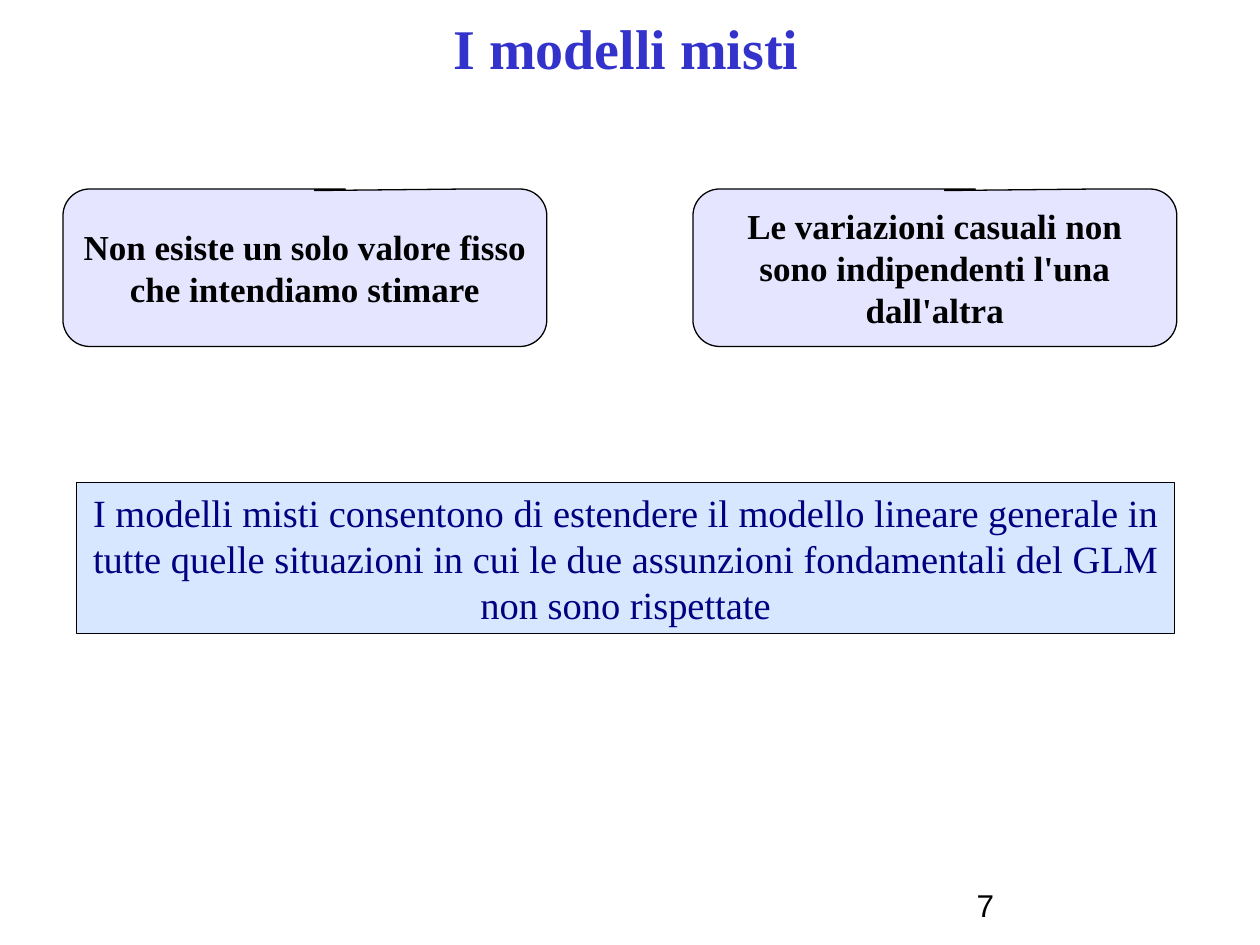
"""Builds the slide that introduces mixed models."""
from lxml import etree
from pptx import Presentation
from pptx import util as u
from pptx.dml.color import RGBColor
from pptx.enum import shapes, text
from pptx.oxml.ns import qn

HUES = {
    "title": "3333CC",
    "call": "CCCCFF",
    "box": "D6E7FF",
    "navy": "000080",
    "black": "000000",
}
SERIF = "Times New Roman"
CALLS = [
    "Non esiste un solo valore fisso che intendiamo stimare",
    "Le variazioni casuali non sono indipendenti l'una dall'altra",
]
CLAIM = (
    "I modelli misti consentono di estendere il modello lineare generale in "
    "tutte quelle situazioni in cui le due assunzioni fondamentali del GLM "
    "non sono rispettate"
)


def hue(name):
    return RGBColor.from_string(HUES[name])


def place(area):
    return [u.Inches(side) for side in area]


def write(shape, words, size, tone, bold=False, font=SERIF,
          align=text.PP_ALIGN.CENTER, anchor=text.MSO_ANCHOR.MIDDLE):
    frame = shape.text_frame
    frame.text = words
    frame.word_wrap = True
    frame.vertical_anchor = anchor
    line = frame.paragraphs[0]
    line.alignment = align
    face = line.runs[0].font
    face.name = font
    face.size = u.Pt(size)
    face.bold = bold
    face.color.rgb = hue(tone)


def add_label(slide, area, words, size, tone, **style):
    label = slide.shapes.add_textbox(*place(area))
    frame = label.text_frame
    frame.margin_left = frame.margin_right = 0
    frame.margin_top = frame.margin_bottom = 0
    write(label, words, size, tone, **style)


def add_panel(slide, kind, area, tone):
    panel = slide.shapes.add_shape(kind, *place(area))
    panel.shadow.inherit = False
    panel.fill.solid()
    panel.fill.fore_color.rgb = hue(tone)
    panel.line.color.rgb = hue("black")
    panel.line.width = u.Pt(0)
    return panel


def add_call(slide, left, words):
    kind = shapes.MSO_SHAPE.ROUNDED_RECTANGULAR_CALLOUT
    call = add_panel(slide, kind, (left, 1.5, 3.84, 1.25), "call")
    for spot, value in enumerate((0.02, -0.49, 0.17)):
        call.adjustments[spot] = value
    tint = call.fill._xPr.find(qn("a:solidFill"))[0]
    etree.SubElement(tint, qn("a:alpha"), val="50000")
    write(call, words, 20, "black", bold=True)


def main():
    deck = Presentation()
    deck.slide_width, deck.slide_height = u.Inches(10), u.Inches(7.5)
    slide = deck.slides.add_slide(deck.slide_layouts[6])
    add_label(slide, (1.43, 0.06, 7.08, 0.63), "I modelli misti", 32, "title",
              bold=True)
    for step, words in enumerate(CALLS):
        add_call(slide, 0.5 + 5 * step, words)
    box = add_panel(slide, shapes.MSO_SHAPE.RECTANGLE,
                    (0.61, 3.83, 8.71, 1.2), "box")
    write(box, CLAIM, 22, "navy")
    add_label(slide, (7.75, 7.03, 2.08, 0.47), "7", 18, "black", font="Arial",
              align=text.PP_ALIGN.LEFT, anchor=text.MSO_ANCHOR.TOP)
    deck.save("out.pptx")


if __name__ == "__main__":
    main()
